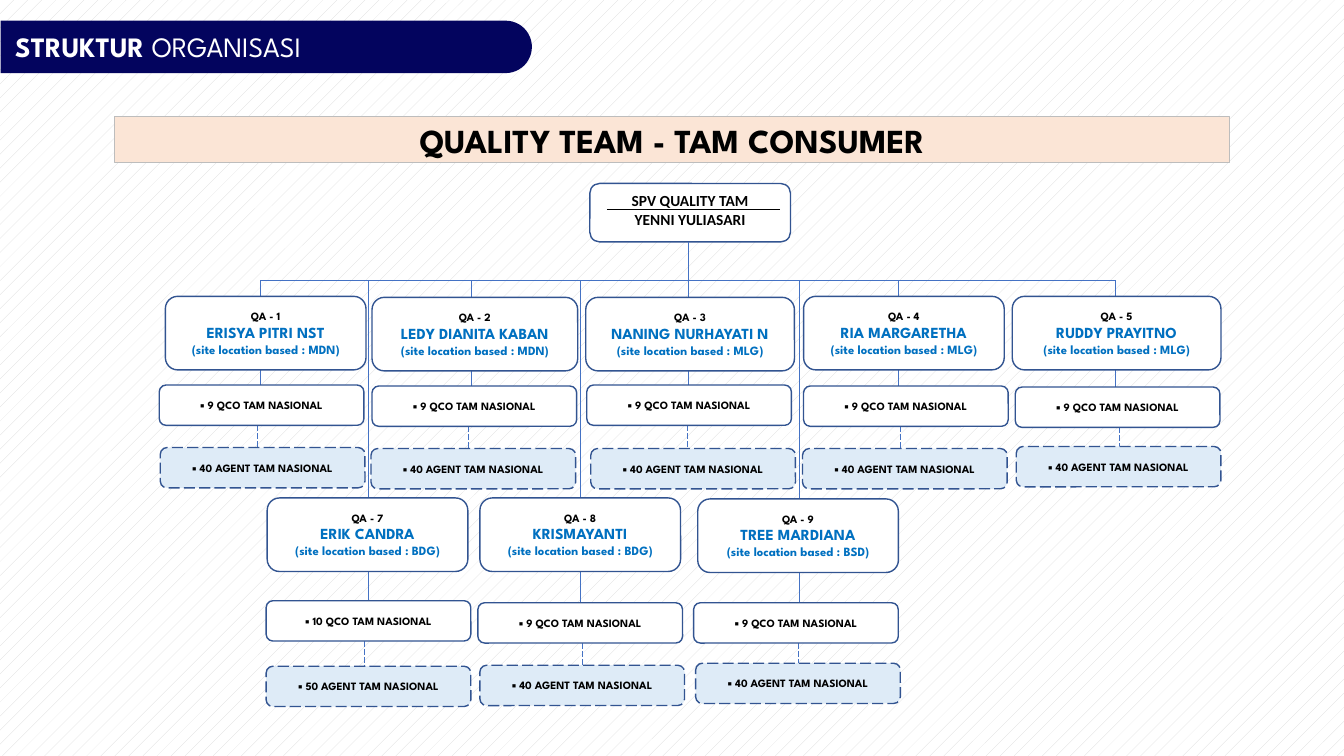
from lxml import etree
from pptx import Presentation
from pptx.dml.color import RGBColor
from pptx.enum.dml import MSO_LINE, MSO_PATTERN
from pptx.enum.shapes import MSO_CONNECTOR, MSO_SHAPE
from pptx.enum.text import MSO_ANCHOR, PP_ALIGN
from pptx.oxml.ns import qn
from pptx.util import Inches, Pt

ROUNDED, RECTANGLE = MSO_SHAPE.ROUNDED_RECTANGLE, MSO_SHAPE.RECTANGLE
TAB = MSO_SHAPE.ROUND_2_SAME_RECTANGLE
STRAIGHT, LONG_DASH = MSO_CONNECTOR.STRAIGHT, MSO_LINE.LONG_DASH
TOP, MIDDLE = MSO_ANCHOR.TOP, MSO_ANCHOR.MIDDLE
CENTER, LEFT = PP_ALIGN.CENTER, PP_ALIGN.LEFT

COLORS = {name: RGBColor.from_string(value) for name, value in {
    "navy": "03045E", "white": "FFFFFF", "black": "000000", "peach": "FBE5D6",
    "gray": "BDBDBD", "dots": "D9D9D9", "border": "325491", "link": "4472C4",
    "name": "0070C0", "agent": "DEEBF7"}.items()}
SPARTAN, CALIBRI = "League Spartan", "Calibri"
COLUMNS, ROWS = 1333, 750

deck = Presentation()
deck.slide_width, deck.slide_height = Inches(13.33), Inches(7.5)
column, row = deck.slide_width / COLUMNS, deck.slide_height / ROWS
page = deck.slides.add_slide(deck.slide_layouts[6])
backdrop = page.background.fill
backdrop.patterned()
backdrop.pattern = MSO_PATTERN.PERCENT_5
backdrop.fore_color.rgb = COLORS["dots"]
backdrop.back_color.rgb = COLORS["white"]


def add_box(cells, lines, kind=ROUNDED, fill="white", border="border",
            weight=1, dash=None, anchor=MIDDLE, align=CENTER):
    left, top, width, height = cells
    area = (int(left * column), int(top * row), int(width * column), int(height * row))
    if kind is None:
        box = page.shapes.add_textbox(*area)
    else:
        box = page.shapes.add_shape(kind, *area)
        box.shadow.inherit = False
        box.fill.solid()
        box.fill.fore_color.rgb = COLORS[fill]
        if border:
            box.line.color.rgb = COLORS[border]
            box.line.width = Pt(weight)
            box.line.dash_style = dash
        else:
            box.line.fill.background()
    frame = box.text_frame
    frame.word_wrap = True
    frame.vertical_anchor = anchor
    for number, spans in enumerate(lines):
        para = frame.paragraphs[0] if number == 0 else frame.add_paragraph()
        para.alignment = align
        for text, size, color, font, bold in spans:
            span = para.add_run()
            span.text = text
            for key, value in {"size": Pt(size), "name": font, "bold": bold}.items():
                setattr(span.font, key, value)
            span.font.color.rgb = COLORS[color]
    return box


def add_link(x1, y1, x2, y2, color="link", dash=None):
    link = page.shapes.add_connector(
        STRAIGHT, int(x1 * column), int(y1 * row), int(x2 * column), int(y2 * row))
    link.line.color.rgb = COLORS[color]
    link.line.width = Pt(0.5)
    link.line.dash_style = dash
    etree.SubElement(link._element.spPr, qn("a:effectLst"))


banner = add_box((238, -217, 52, 527), [], TAB, "navy", None)
banner.rotation = 90
banner.adjustments[0] = 0.5

heading = add_box((15, 29, 488, 34), [[("STRUKTUR ", 20, "white", SPARTAN, True),
                                       ("ORGANISASI", 20, "white", SPARTAN, False)]],
                  None, align=LEFT)
for side in ("left", "top", "right", "bottom"):
    setattr(heading.text_frame, f"margin_{side}", 0)

add_box((114, 116, 1105, 45),
        [[("QUALITY TEAM - TAM CONSUMER", 24, "black", SPARTAN, True)]],
        RECTANGLE, "peach", "gray", 0.75)
add_box((585, 182, 199, 58),
        [[(text, 11, "black", CALIBRI, True)] for text in ("SPV QUALITY TAM", "YENNI YULIASARI")],
        anchor=TOP)
add_link(602, 208, 774, 208, "black")
add_link(683, 240, 683, 278)
add_link(259, 278, 1107, 278)

# label, name, site, QCO, agents, link x, dashed x, then left/top of lead, QCO, agents, and lead width
TEAMS = [
    ("QA - 1", "ERISYA PITRI NST", "MDN", 9, 40, 258, 255, (164, 294), (158, 382), (159, 444), 199),
    ("QA - 2", "LEDY DIANITA KABAN", "MDN", 9, 40, 468, 465, (369, 295), (369, 383), (368, 445), 204),
    ("QA - 3", "NANING NURHAYATI N", "MLG", 9, 40, 683, 682, (581, 295), (582, 382), (586, 445), 207),
    ("QA - 4", "RIA MARGARETHA", "MLG", 9, 40, 891, 893, (797, 294), (797, 383), (796, 445), 199),
    ("QA - 5", "RUDDY PRAYITNO", "MLG", 9, 40, 1106, 1110, (1004, 294), (1007, 384), (1008, 443), 207),
    ("QA - 7", "ERIK CANDRA", "BDG", 10, 50, 365, 361, (265, 494), (264, 596), (264, 661), 199),
    ("QA - 8", "KRISMAYANTI", "BDG", 9, 40, 576, 578, (476, 494), (474, 598), (476, 660), 199),
    ("QA - 9", "TREE MARDIANA", "BSD", 9, 40, 793, 792, (692, 495), (688, 598), (690, 658), 199),
]
for (label, name, site, officers, agents, link_x, dash_x,
     lead, officer, agent, lead_width) in TEAMS:
    add_link(link_x, 278, link_x, officer[1])
    add_link(dash_x, officer[1] + 40, dash_x, agent[1], dash=LONG_DASH)
    add_box((*lead, lead_width, 73),
            [[(label, 8, "black", SPARTAN, True)],
             [(name, 11, "name", SPARTAN, True)],
             [(f"(site location based : {site})", 9, "name", SPARTAN, True)]])
    add_box((*officer, 203, 40),
            [[(f"▪ {officers} QCO TAM NASIONAL", 8, "black", SPARTAN, True)]])
    add_box((*agent, 203, 40),
            [[(f"▪ {agents} AGENT TAM NASIONAL", 8, "black", SPARTAN, True)]],
            fill="agent", dash=LONG_DASH)

deck.save("out.pptx")
